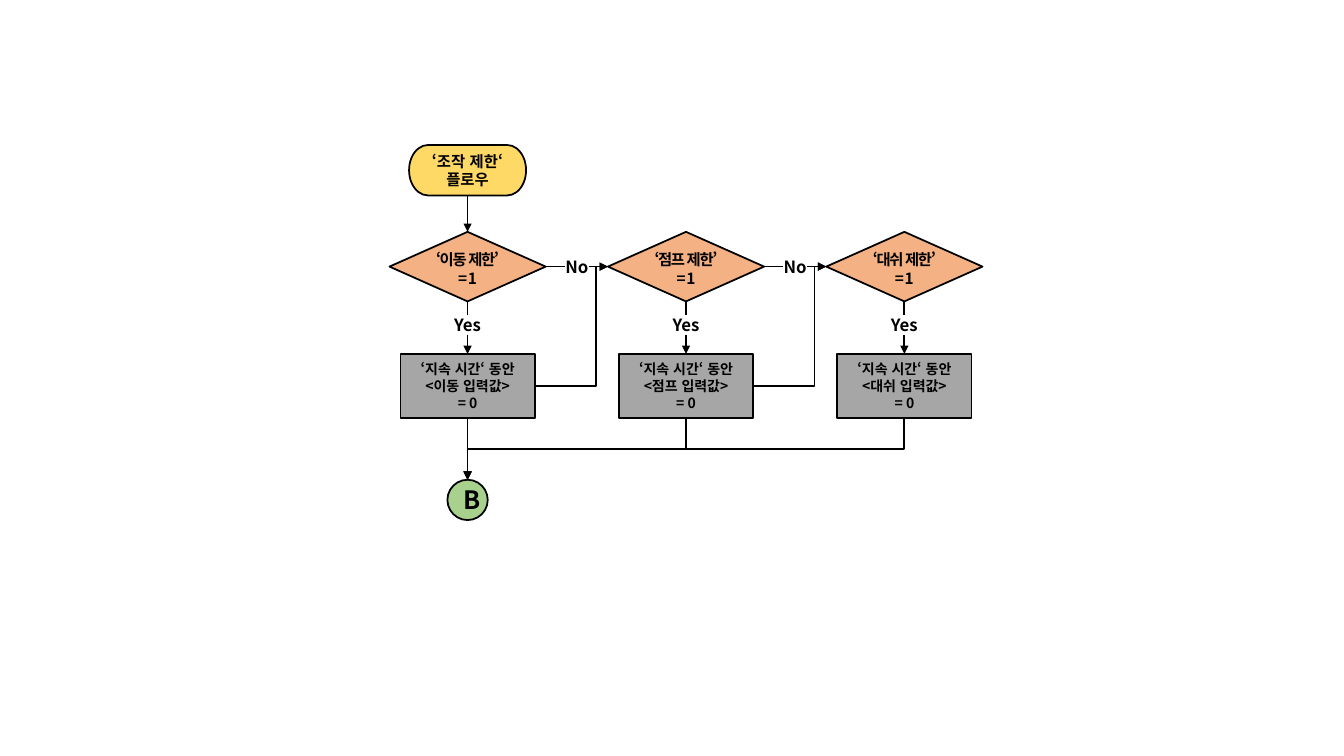
import dataclasses
import pptx
import pptx.dml.color
import pptx.enum.lang
import pptx.enum.shapes
import pptx.enum.text
import pptx.oxml.ns
import pptx.util
import lxml.etree

Pt = pptx.util.Pt
SHAPES = pptx.enum.shapes.MSO_SHAPE
CONNECTORS = pptx.enum.shapes.MSO_CONNECTOR


@dataclasses.dataclass(frozen=True)
class Theme:
    font: str = "Noto Sans CJK KR"
    ink: str = "000000"
    start: str = "FFD966"
    decision: str = "F4B183"
    process: str = "A6A6A6"
    junction: str = "A9D18E"
    line_width: float = 1.25
    node_size: int = 11
    process_size: int = 10
    label_size: int = 12
    junction_size: int = 18


@dataclasses.dataclass(frozen=True)
class Box:
    left: float
    top: float
    width: float
    height: float

    @property
    def right(self):
        return self.left + self.width

    @property
    def bottom(self):
        return self.top + self.height

    @property
    def center(self):
        return self.left + self.width / 2

    @property
    def middle(self):
        return self.top + self.height / 2

    def points(self):
        return [Pt(value) for value in (self.left, self.top, self.width, self.height)]


THEME = Theme()
INK = pptx.dml.color.RGBColor.from_string(THEME.ink)


def centered(center, top, width, height):
    return Box(center - width / 2, top, width, height)


def add_lines(frame, lines, size, spacing=0):
    for index, text in enumerate(lines):
        para = frame.paragraphs[0] if index == 0 else frame.add_paragraph()
        para.alignment = pptx.enum.text.PP_ALIGN.CENTER
        span = para.add_run()
        span.text = text
        span.font.size = Pt(size)
        span.font.bold = True
        span.font.name = THEME.font
        span.font.color.rgb = INK
        span.font.language_id = pptx.enum.lang.MSO_LANGUAGE_ID.KOREAN
        properties = span.font._element
        if spacing:
            properties.set("spc", str(spacing * 100))
        east_asian = lxml.etree.SubElement(properties, pptx.oxml.ns.qn("a:ea"))
        east_asian.set("typeface", THEME.font)


def set_margins(frame, side, top=0):
    frame.margin_left = frame.margin_right = Pt(side)
    frame.margin_top = Pt(top)
    frame.margin_bottom = 0
    frame.word_wrap = False


def add_node(page, kind, box, fill, lines, size, spacing=0):
    shape = page.shapes.add_shape(kind, *box.points())
    shape.shadow.inherit = False
    shape.fill.solid()
    shape.fill.fore_color.rgb = pptx.dml.color.RGBColor.from_string(fill)
    shape.line.color.rgb = INK
    shape.line.width = Pt(THEME.line_width)
    shape.text_frame.vertical_anchor = pptx.enum.text.MSO_ANCHOR.MIDDLE
    add_lines(shape.text_frame, lines, size, spacing)
    return shape


def add_label(page, box, text):
    frame = page.shapes.add_textbox(*box.points()).text_frame
    set_margins(frame, 0)
    add_lines(frame, [text], THEME.label_size)


def add_link(page, begin, end, arrow=True, kind=CONNECTORS.STRAIGHT):
    link = page.shapes.add_connector(kind, *[Pt(value) for value in (*begin, *end)])
    link.line.color.rgb = INK
    link.line.width = Pt(THEME.line_width)
    if arrow:
        tail = lxml.etree.SubElement(link.line._get_or_add_ln(), pptx.oxml.ns.qn("a:tailEnd"))
        tail.set("type", "triangle")
    lxml.etree.SubElement(link._element.spPr, pptx.oxml.ns.qn("a:effectLst"))
    return link


def add_side_elbow(page, begin, end, turn):
    link = add_link(page, begin, end, kind=CONNECTORS.ELBOW)
    adjustments = link._element.spPr.find(".//" + pptx.oxml.ns.qn("a:avLst"))
    guide = lxml.etree.SubElement(adjustments, pptx.oxml.ns.qn("a:gd"))
    guide.set("name", "adj1")
    guide.set("fmla", f"val {round(turn * 100000)}")


def add_down_elbow(page, begin, end):
    center, middle = (begin[0] + end[0]) / 2, (begin[1] + end[1]) / 2
    half_width, half_height = (end[1] - begin[1]) / 2, (begin[0] - end[0]) / 2
    link = add_link(page, (center - half_width, middle - half_height),
                    (center + half_width, middle + half_height), kind=CONNECTORS.ELBOW)
    link._element.spPr.find(pptx.oxml.ns.qn("a:xfrm")).set("rot", "5400000")


def draw_start(page, box, target):
    shape = add_node(page, SHAPES.FLOWCHART_TERMINATOR, box, THEME.start,
                     ["‘조작 제한‘", "플로우"], THEME.node_size)
    set_margins(shape.text_frame, 0)
    add_link(page, (box.center, box.bottom), target)


def draw_check(page, box, action):
    decision = Box(box.left, box.top, box.width, 49.7)
    process = centered(box.center, box.bottom - 46, 96, 46)
    shape = add_node(page, SHAPES.FLOWCHART_DECISION, decision, THEME.decision,
                     [f"‘{action} 제한’", "= 1"], THEME.node_size, spacing=-1)
    set_margins(shape.text_frame, -8, 2.9)
    add_node(page, SHAPES.FLOWCHART_PROCESS, process, THEME.process,
             ["‘지속 시간‘ 동안", f"<{action} 입력값>", "= 0"], THEME.process_size)
    label = centered(box.center, decision.bottom + 9.4, 28, 14.4)
    add_link(page, (box.center, decision.bottom), (box.center, label.top), arrow=False)
    add_label(page, label, "Yes")
    add_link(page, (box.center, label.bottom), (box.center, process.top))
    return decision, process


def draw_no_branch(page, check, following):
    decision, process = check
    target = following[0]
    label = centered((decision.right + target.left) / 2, decision.middle - 7.2, 17.2, 14.4)
    add_link(page, (decision.right, decision.middle), (label.left, decision.middle), arrow=False)
    add_label(page, label, "No")
    add_link(page, (label.right, decision.middle), (target.left, target.middle))
    add_side_elbow(page, (process.right, process.middle), (target.left, target.middle), 0.84)


def draw_junction(page, box, processes):
    first, *others = processes
    end = (box.center, box.top)
    add_link(page, (first.center, first.bottom), end)
    for process in others:
        add_down_elbow(page, (process.center, process.bottom), end)
    add_node(page, SHAPES.OVAL, box, THEME.junction, ["B"], THEME.junction_size)


def draw_flow(page, box):
    axis, pitch = box.left + 55.8, 156
    check_top = box.top + 62
    draw_start(page, centered(axis, box.top, 83.6, 36), (axis, check_top))
    checks = [
        draw_check(page, centered(axis + index * pitch, check_top, 111.6, 133.2), action)
        for index, action in enumerate(["이동", "점프", "대쉬"])
    ]
    for check, following in zip(checks, checks[1:]):
        draw_no_branch(page, check, following)
    draw_junction(page, centered(axis, box.bottom - 28.8, 28.8, 28.8),
                  [process for _, process in checks])


deck = pptx.Presentation()
deck.slide_width, deck.slide_height = Pt(960), Pt(540)
page = deck.slides.add_slide(deck.slide_layouts[6])
draw_flow(page, Box(278.2, 103.6, 423.6, 267.9))
deck.save("out.pptx")
